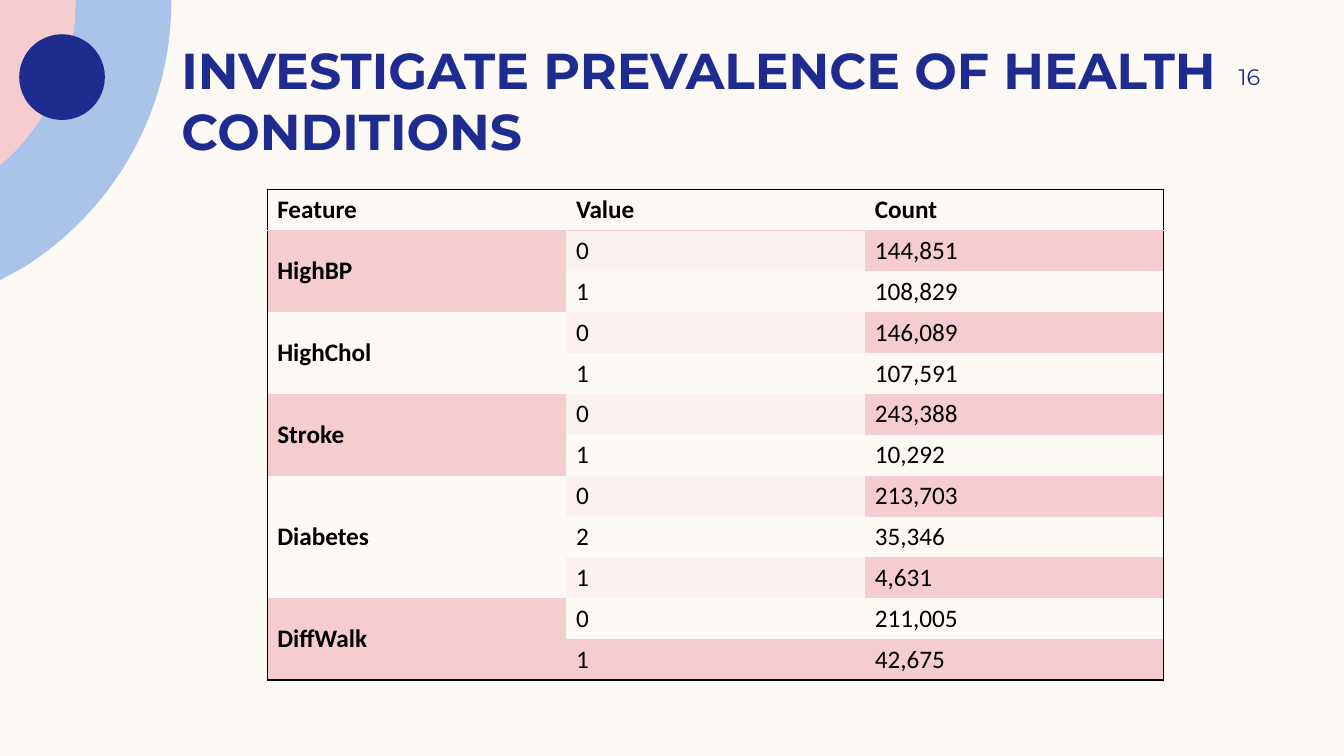
from lxml import etree
from pptx import Presentation
from pptx.dml.color import RGBColor
from pptx.enum.shapes import MSO_SHAPE
from pptx.enum.text import MSO_ANCHOR, PP_ALIGN
from pptx.oxml.ns import qn
from pptx.util import Pt

PX = 9144
OVAL = MSO_SHAPE.OVAL
MIDDLE, BOTTOM = MSO_ANCHOR.MIDDLE, MSO_ANCHOR.BOTTOM
LEFT, RIGHT = PP_ALIGN.LEFT, PP_ALIGN.RIGHT
CREAM, NAVY, BLUE, PINK, BLACK = "FDFAF6", "1F2C8F", "AAC3E8", "F5CDCE", "000000"
NO_GRID_STYLE = "{2D5ABB26-0587-4C30-8999-92F81FD0307C}"
CURVE_STEPS = 40

BLUE_RING = [(75, 0), (170, 0), (170, 1), (170, 112, 112, 209, 24, 265), (0, 278),
             (0, 164), (11, 154), (46, 119, 68, 73, 74, 22)]
PINK_CORNER = [(0, 0), (75, 0), (74, 22), (68, 73, 46, 119, 11, 154), (0, 164)]

HEADINGS = ["Feature", "Value", "Count"]
CONDITIONS = {
    "HighBP": [("0", "144,851"), ("1", "108,829")],
    "HighChol": [("0", "146,089"), ("1", "107,591")],
    "Stroke": [("0", "243,388"), ("1", "10,292")],
    "Diabetes": [("0", "213,703"), ("2", "35,346"), ("1", "4,631")],
    "DiffWalk": [("0", "211,005"), ("1", "42,675")],
}


def px(length):
    """Turn pixels into EMU."""
    return round(length * PX)


def color(value):
    """Turn a hex string into a colour."""
    return RGBColor.from_string(value)


def write(frame, text, font="Montserrat", size=18, ink=NAVY, bold=False, align=LEFT):
    """Write one formatted paragraph into a text frame."""
    para = frame.paragraphs[0]
    para.alignment = align
    span = para.add_run()
    span.text = text
    span.font.name, span.font.size, span.font.bold = font, Pt(size), bold
    span.font.color.rgb = color(ink)


def outline_points(segments):
    """Turn line ends and cubic curves into a list of points."""
    points = []
    for segment in segments:
        if len(segment) == 2:
            points.append(segment)
            continue
        start, first, second, end = points[-1], segment[:2], segment[2:4], segment[4:]
        for step in range(1, CURVE_STEPS + 1):
            t = step / CURVE_STEPS
            u = 1 - t
            points.append(tuple(
                u**3 * a + 3 * u * u * t * b + 3 * u * t * t * c + t**3 * d
                for a, b, c, d in zip(start, first, second, end)))
    return [(px(x), px(y)) for x, y in points]


class Page:
    """Hold the current slide and draw its elements in one style."""

    def __init__(self, deck):
        """Add a blank slide with a cream background."""
        self.slide = deck.slides.add_slide(deck.slide_layouts[6])
        self.shapes = self.slide.shapes
        fill = self.slide.background.fill
        fill.solid()
        fill.fore_color.rgb = color(CREAM)

    def paint(self, shape, fill):
        """Give a shape a flat fill with no line or shadow."""
        shape.shadow.inherit = False
        shape.fill.solid()
        shape.fill.fore_color.rgb = color(fill)
        shape.line.fill.background()

    def outline(self, segments, fill):
        """Draw a closed outline."""
        start, *rest = outline_points(segments)
        builder = self.shapes.build_freeform(*start)
        builder.add_line_segments(rest)
        self.paint(builder.convert_to_shape(), fill)

    def circle(self, left, top, size, fill):
        """Draw a circle."""
        self.paint(self.shapes.add_shape(OVAL, px(left), px(top), px(size), px(size)), fill)

    def text(self, left, top, width, height, text, anchor, insets, **style):
        """Place a wrapped text box."""
        box = self.shapes.add_textbox(px(left), px(top), px(width), px(height))
        frame = box.text_frame
        frame.word_wrap = True
        frame.vertical_anchor = anchor
        (frame.margin_left, frame.margin_top,
         frame.margin_right, frame.margin_bottom) = map(px, insets)
        write(frame, text, **style)

    def border(self, cell, side, ink):
        """Draw one edge of a table cell."""
        line = etree.SubElement(cell._tc.get_or_add_tcPr(), qn(f"a:ln{side}"), w=str(Pt(1)))
        fill = etree.SubElement(line, qn("a:solidFill"))
        etree.SubElement(fill, qn("a:srgbClr"), val=ink)

    def cell(self, cell, edges, tinted):
        """Set the edges and the fill of a table cell."""
        for side, ink in edges.items():
            self.border(cell, side, ink)
        cell.vertical_anchor = MIDDLE
        if not tinted:
            cell.fill.background()
            return
        cell.fill.solid()
        cell.fill.fore_color.rgb = color(PINK)
        tint = cell._tc.tcPr.find(".//" + qn("a:srgbClr"))
        etree.SubElement(tint, qn("a:alpha"), val="20000")

    def table(self, left, top, width, height, headings, groups):
        """Place a table whose first column merges each group of rows."""
        last_row = sum(map(len, groups.values()))
        last_column = len(headings) - 1
        frame = self.shapes.add_table(last_row + 1, len(headings),
                                      px(left), px(top), px(width), px(height))
        table = frame.table
        table.horz_banding = False
        table._tbl.tblPr.find(qn("a:tableStyleId")).text = NO_GRID_STYLE

        def fill_cell(row, column, text, tinted, bold=False, span=1):
            """Fill one cell and frame it where it meets the table's edge."""
            cell = table.cell(row, column)
            edges = {}
            if column == 0:
                edges["L"] = BLACK
            if column == last_column:
                edges["R"] = BLACK
            if row == 0:
                edges.update(T=BLACK, B=PINK)
            if row + span - 1 == last_row:
                edges["B"] = BLACK
            self.cell(cell, edges, tinted)
            if text:
                write(cell.text_frame, text, font="Calibri", ink=BLACK, bold=bold)

        for column, heading in enumerate(headings):
            fill_cell(0, column, heading, False, bold=True)
        row = 1
        for index, (feature, counts) in enumerate(groups.items()):
            span = len(counts)
            tinted = index % 2 == 0
            table.cell(row, 0).merge(table.cell(row + span - 1, 0))
            fill_cell(row, 0, feature, tinted, bold=True, span=span)
            for offset, values in enumerate(counts):
                if offset:
                    fill_cell(row + offset, 0, "", tinted)
                for column, value in enumerate(values, start=1):
                    fill_cell(row + offset, column, value, (row + offset) % 2 == 1)
            row += span


def main():
    """Build and save the deck."""
    deck = Presentation()
    deck.slide_width, deck.slide_height = px(1333), px(750)
    page = Page(deck)
    page.outline(BLUE_RING, BLUE)
    page.outline(PINK_CORNER, PINK)
    page.circle(19, 34, 85, NAVY)
    page.text(170, 3, 1080, 156, "INVESTIGATE PREVALENCE OF HEALTH CONDITIONS",
              BOTTOM, (10, 0, 10, 0), size=36, bold=True)
    page.text(1133, 50, 117, 52, "16", MIDDLE, (10, 5, 0, 5), size=16, align=RIGHT)
    page.table(265, 188, 889, 487, HEADINGS, CONDITIONS)
    deck.save("out.pptx")


if __name__ == "__main__":
    main()
